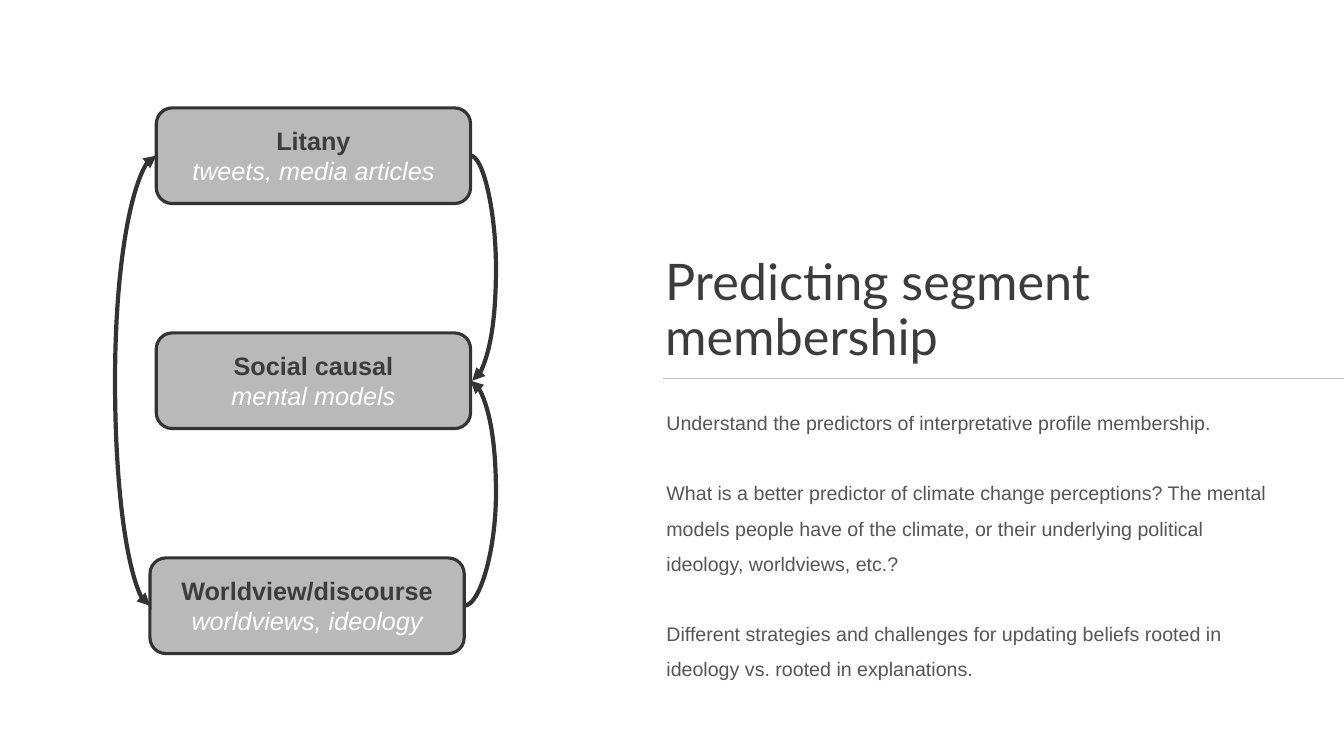
from lxml.etree import SubElement
from pptx import Presentation
from pptx.dml.color import RGBColor
from pptx.enum.shapes import MSO_CONNECTOR, MSO_SHAPE
from pptx.enum.text import MSO_ANCHOR, MSO_AUTO_SIZE, PP_ALIGN
from pptx.oxml.ns import qn
from pptx.util import Cm, Pt


def style(font, size, color, name="Arial"):
    font.name, font.size = name, Pt(size)
    font.color.rgb = RGBColor.from_string(color)


def join(ends, color, width):
    """Add a shadowless connector between two (x, y) points given in cm."""
    kind = MSO_CONNECTOR.STRAIGHT if ends[0][1] == ends[1][1] else MSO_CONNECTOR.CURVE
    link = slide.shapes.add_connector(kind, *[Cm(v) for point in ends for v in point])
    link.line.color.rgb = RGBColor.from_string(color)
    link.line.width = Pt(width)
    SubElement(link._element.spPr, qn("a:effectLst"))
    return link


prs = Presentation()
prs.slide_width, prs.slide_height = Cm(33.87), Cm(19.05)
slide = prs.slides.add_slide(prs.slide_layouts[1])

# Title, rule and body
join([(16.71, 9.53), (33.87, 9.53)], "BCBABA", 0.5)

title = slide.shapes.title
title.left, title.top, title.width, title.height = Cm(16.51), Cm(5.13), Cm(13.77), Cm(4.22)
frame = title.text_frame
frame.text = "Predicting segment membership"
frame.auto_size = MSO_AUTO_SIZE.NONE
frame.vertical_anchor = MSO_ANCHOR.BOTTOM
para = frame.paragraphs[0]
para.alignment, para.line_spacing = PP_ALIGN.LEFT, 0.9
style(para.font, 36, "3C3C3C", "Lato")

body = slide.placeholders[1]
body.left, body.top, body.width, body.height = Cm(16.54), Cm(9.93), Cm(15.9), Cm(7.95)
frame = body.text_frame
frame.text = "\n".join([
    "Understand the predictors of interpretative profile membership.",
    "What is a better predictor of climate change perceptions? The mental models people "
    "have of the climate, or their underlying political ideology, worldviews, etc.?",
    "Different strategies and challenges for updating beliefs rooted in ideology vs. "
    "rooted in explanations.",
])
frame.auto_size = MSO_AUTO_SIZE.NONE
for i, para in enumerate(frame.paragraphs):
    para.line_spacing = 1.5
    para.space_before = Pt(25 if i else 0)
    style(para.font, 14, "575454")
    props = para._p.get_or_add_pPr()
    props.set("marL", "0")
    props.set("indent", "0")
    # The bullet setting must precede the default run properties
    mark = SubElement(props, qn("a:buNone"))
    props.find(qn("a:defRPr")).addprevious(mark)

# Layers of the model
wide, high = 7.92, 2.41
layers = [
    ("Litany", "tweets, media articles", 3.94),
    ("Social causal", "mental models", 3.94),
    ("Worldview/discourse", "worldviews, ideology", 3.78),
]
sides = []
for i, (name, detail, left) in enumerate(layers):
    top = 2.72 + i * 5.67
    box = slide.shapes.add_shape(MSO_SHAPE.ROUNDED_RECTANGLE, Cm(left), Cm(top), Cm(wide), Cm(high))
    box.shadow.inherit = False
    box.fill.solid()
    box.fill.fore_color.rgb = RGBColor.from_string("B9B9B9")
    box.line.color.rgb = RGBColor.from_string("333333")
    box.line.width = Pt(2.25)
    frame = box.text_frame
    frame.text = f"{name}\n{detail}"
    frame.vertical_anchor = MSO_ANCHOR.MIDDLE
    head, note = frame.paragraphs
    for para, color in (head, "3C3C3C"), (note, "FFFFFF"):
        para.alignment = PP_ALIGN.CENTER
        style(para.font, 18, color)
    head.font.bold = note.font.italic = True
    mid = top + high / 2
    sides.append(((left, mid), (left + wide, mid)))

# Curved arrows: start, end, x of the bend, arrowheads
litany, social, world = sides
near = (social[1][0] + 0.04, social[1][1])
for start, end, bend, tips in [
    (world[0], litany[0], 2.9, ("headEnd", "tailEnd")),
    (litany[1], near, 12.5, ("tailEnd",)),
    (world[1], social[1], 12.5, ("tailEnd",)),
]:
    link = join([start, end], "333333", 3)
    ratio = (bend - start[0]) / (end[0] - start[0])
    guides = link._element.spPr.find(qn("a:prstGeom")).get_or_add_avLst()
    SubElement(guides, qn("a:gd"), name="adj1", fmla=f"val {round(ratio * 100000)}")
    for tip in tips:
        SubElement(link.line._get_or_add_ln(), qn(f"a:{tip}"), type="triangle")

prs.save("out.pptx")
